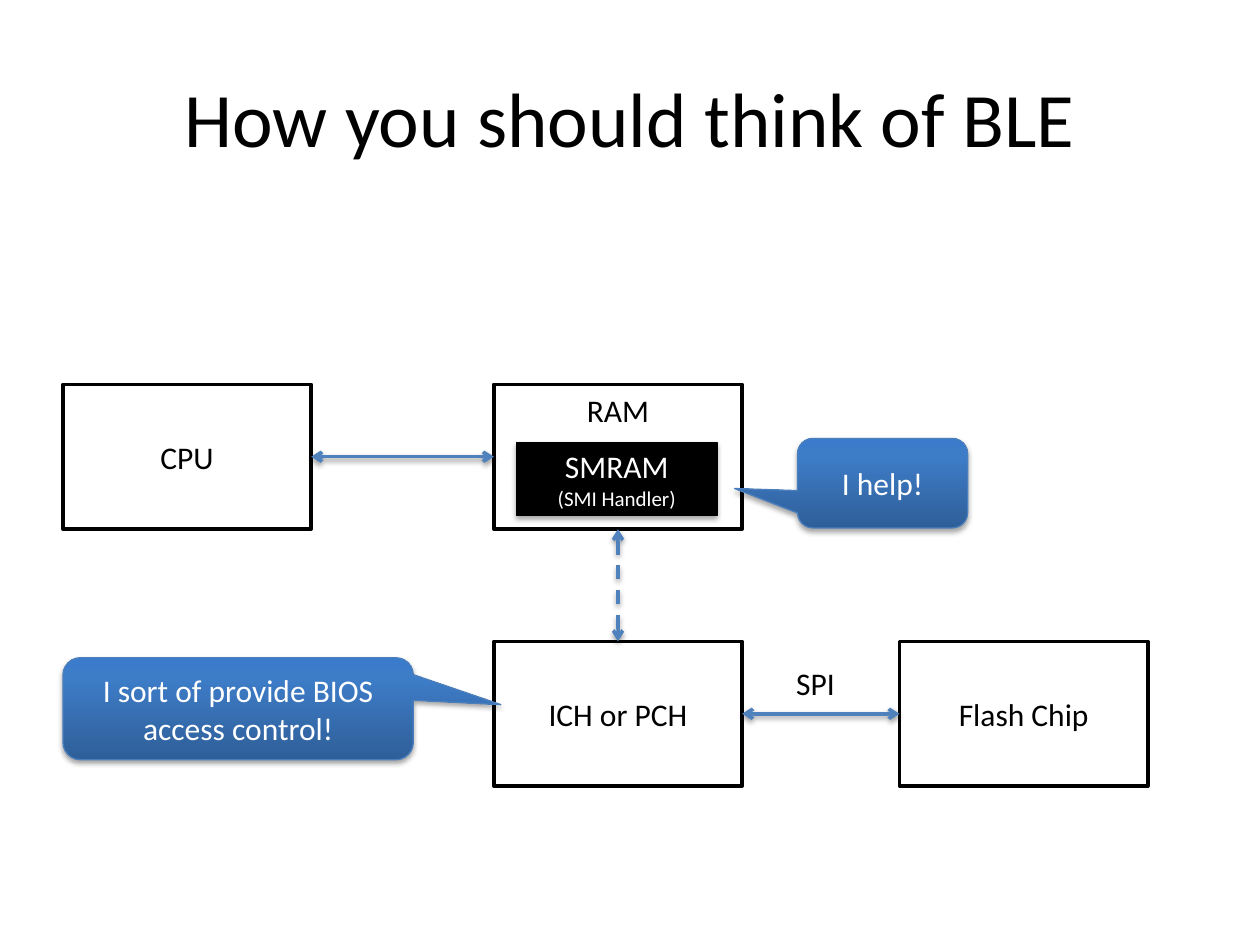
"""Builds a slide showing how BLE relates to the CPU, RAM, PCH and flash chip."""
from pptx import Presentation
from pptx.dml.color import RGBColor
from pptx.enum.dml import MSO_LINE_DASH_STYLE as Dash
from pptx.enum.shapes import MSO_CONNECTOR as Connector, MSO_SHAPE as Shape
from pptx.enum.text import MSO_ANCHOR as Anchor, MSO_AUTO_SIZE as AutoSize, PP_ALIGN as Align
from pptx.oxml import parse_xml
from pptx.oxml.ns import nsdecls
from pptx.util import Inches, Pt

COLORS = {
    "ink": "000000",
    "paper": "FFFFFF",
    "arrow": "4F81BD",
    "callout_line": "4B7EBC",
}
CALLOUT_STOPS = ((0, "2F5F99"), (80, "3D7CC7"), (100, "3A7CCB"))
BOX_WIDTH, BOX_HEIGHT = 1.97, 1.15
LEFT, MIDDLE, RIGHT = 0.5, 3.92, 7.14
TOP_ROW, BOTTOM_ROW = 3.05, 5.09


class DiagramSlide:
    """Holds the style and the slide, with one method per kind of element."""

    font_name = "Calibri"

    def __init__(self, presentation):
        self.slide = presentation.slides.add_slide(presentation.slide_layouts[5])
        self.shapes = self.slide.shapes

    def color(self, name):
        return RGBColor.from_string(COLORS[name])

    def set_text(self, frame, lines, color="ink", align=Align.CENTER, anchor=Anchor.MIDDLE, wrap=True):
        frame.word_wrap = wrap
        frame.vertical_anchor = anchor
        for index, (text, size) in enumerate(lines):
            paragraph = frame.add_paragraph() if index else frame.paragraphs[0]
            paragraph.alignment = align
            run = paragraph.add_run()
            run.text = text
            run.font.color.rgb = self.color(color)
            for attribute, value in {"name": self.font_name, "size": Pt(size)}.items():
                setattr(run.font, attribute, value)

    def add_shadow(self, shape, opacity, distance):
        properties = shape._element.spPr
        for effects in properties.findall("{*}effectLst"):
            properties.remove(effects)
        properties.append(parse_xml(
            f'<a:effectLst {nsdecls("a")}><a:outerShdw blurRad="{Pt(3.1)}" dist="{Pt(distance)}" '
            f'dir="5400000" rotWithShape="0"><a:srgbClr val="{COLORS["ink"]}">'
            f'<a:alpha val="{opacity * 1000}"/></a:srgbClr></a:outerShdw></a:effectLst>'))

    def title(self, text, *bounds):
        title = self.shapes.title
        for attribute, value in zip(("left", "top", "width", "height"), bounds):
            setattr(title, attribute, Inches(value))
        self.set_text(title.text_frame, [(text, 44)])

    def shape(self, kind, bounds, line, width):
        shape = self.shapes.add_shape(kind, *map(Inches, bounds))
        shape.shadow.inherit = False
        shape.line.color.rgb = self.color(line)
        shape.line.width = Pt(width)
        return shape

    def box(self, text, left, top, anchor=Anchor.MIDDLE):
        shape = self.shape(Shape.RECTANGLE, (left, top, BOX_WIDTH, BOX_HEIGHT), "ink", 2)
        shape.fill.solid()
        shape.fill.fore_color.rgb = self.color("paper")
        self.set_text(shape.text_frame, [(text, 18)], anchor=anchor)

    def dark_box(self, lines, *bounds):
        shape = self.shape(Shape.RECTANGLE, bounds, "ink", 0.75)
        shape.fill.solid()
        shape.fill.fore_color.rgb = self.color("ink")
        self.add_shadow(shape, 35, 1.8)
        self.set_text(shape.text_frame, lines, "paper")

    def callout(self, text, bounds, pointer):
        shape = self.shape(Shape.ROUNDED_RECTANGULAR_CALLOUT, bounds, "callout_line", 0.75)
        for index, value in enumerate((*pointer, 0.17)):
            shape.adjustments[index] = value
        stops = "".join(f'<a:gs pos="{position * 1000}"><a:srgbClr val="{color}"/></a:gs>'
                        for position, color in CALLOUT_STOPS)
        shape._element.spPr.prstGeom.addnext(parse_xml(
            f'<a:gradFill {nsdecls("a")} rotWithShape="1"><a:gsLst>{stops}</a:gsLst>'
            '<a:lin ang="16200000" scaled="0"/></a:gradFill>'))
        self.add_shadow(shape, 35, 1.8)
        self.set_text(shape.text_frame, [(text, 18)], "paper")

    def arrow(self, *ends, dash=None):
        connector = self.shapes.add_connector(Connector.STRAIGHT, *map(Inches, ends))
        connector.line.color.rgb = self.color("arrow")
        connector.line.width = Pt(2)
        if dash:
            connector.line.dash_style = dash
        line = connector.get_or_add_ln()
        for end in ("headEnd", "tailEnd"):
            line.append(parse_xml(f'<a:{end} {nsdecls("a")} type="arrow"/>'))
        self.add_shadow(connector, 38, 1.6)

    def label(self, text, *bounds):
        frame = self.shapes.add_textbox(*map(Inches, bounds)).text_frame
        self.set_text(frame, [(text, 18)], align=Align.LEFT, anchor=Anchor.TOP, wrap=False)
        frame.auto_size = AutoSize.SHAPE_TO_FIT_TEXT


def main():
    presentation = Presentation()
    presentation.slide_width, presentation.slide_height = Inches(10), Inches(7.5)
    diagram = DiagramSlide(presentation)
    diagram.title("How you should think of BLE", 0.5, 0.3, 9, 1.25)

    diagram.box("CPU", LEFT, TOP_ROW)
    diagram.box("ICH or PCH", MIDDLE, BOTTOM_ROW)
    diagram.box("RAM", MIDDLE, TOP_ROW, Anchor.TOP)
    diagram.box("Flash Chip", RIGHT, BOTTOM_ROW)

    top_center, bottom_center = (row + BOX_HEIGHT / 2 for row in (TOP_ROW, BOTTOM_ROW))
    middle_center = MIDDLE + BOX_WIDTH / 2
    diagram.arrow(LEFT + BOX_WIDTH, top_center, MIDDLE, top_center)
    diagram.arrow(MIDDLE + BOX_WIDTH, bottom_center, RIGHT, bottom_center)
    diagram.label("SPI", 6.22, 5.22, 0.51, 0.4)
    diagram.arrow(middle_center, TOP_ROW + BOX_HEIGHT, middle_center, BOTTOM_ROW, dash=Dash.DASH)

    diagram.dark_box([("SMRAM", 18), ("(SMI Handler)", 12)], 4.1, 3.51, 1.59, 0.58)
    diagram.callout("I sort of provide BIOS access control!", (LEFT, 5.22, 2.78, 0.81), (0.75, -0.04))
    diagram.callout("I help!", (6.33, 3.48, 1.35, 0.71), (-0.87, 0.06))
    presentation.save("out.pptx")


if __name__ == "__main__":
    main()
